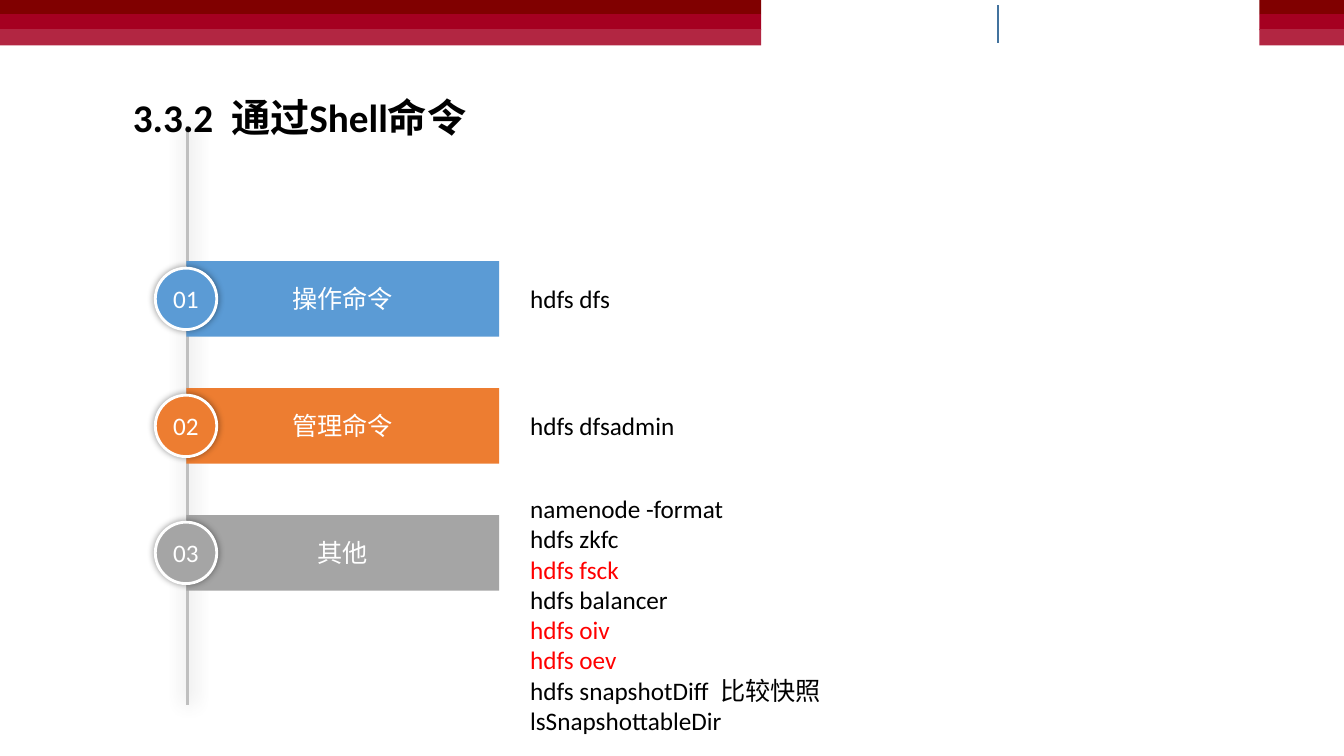
"""Build the slide that lists the HDFS shell commands in three groups."""
from lxml import etree
from pptx import Presentation
from pptx.dml.color import RGBColor
from pptx.enum.shapes import MSO_CONNECTOR, MSO_SHAPE
from pptx.enum.text import MSO_ANCHOR, PP_ALIGN
from pptx.oxml.ns import qn
from pptx.util import Inches, Pt

RECT, OVAL = MSO_SHAPE.RECTANGLE, MSO_SHAPE.OVAL
STRAIGHT = MSO_CONNECTOR.STRAIGHT
MIDDLE, CENTER = MSO_ANCHOR.MIDDLE, PP_ALIGN.CENTER
rgb = RGBColor.from_string


def add_shape(kind, left, top, width, height, fill, text="", font="Calibri"):
    sp = s.shapes.add_shape(kind, Inches(left), Inches(top), Inches(width), Inches(height))
    sp.shadow.inherit = False
    sp.fill.solid()
    sp.fill.fore_color.rgb = rgb(fill)
    sp.line.fill.background()
    tf = sp.text_frame
    tf.margin_left = tf.margin_right = tf.margin_top = tf.margin_bottom = 0
    tf.vertical_anchor = MIDDLE
    p = tf.paragraphs[0]
    p.text = text
    p.alignment = CENTER
    p.font.size, p.font.name = Pt(18), font
    p.font.color.rgb = rgb("FFFFFF")
    return sp


def add_shadow(effects, blur, dist):
    shadow = etree.SubElement(effects, qn("a:outerShdw"), blurRad=str(Pt(blur)),
                              dist=str(Pt(dist)), dir="0", algn="ctr", rotWithShape="0")
    color = etree.SubElement(shadow, qn("a:srgbClr"), val="000000")
    etree.SubElement(color, qn("a:alpha"), val="40000")


prs = Presentation()
prs.slide_width, prs.slide_height = Inches(13.33), Inches(7.5)
s = prs.slides.add_slide(prs.slide_layouts[6])

bands = [(0, 0.14, "800000"), (0.14, 0.16, "A50021"), (0.29, 0.16, "B22642")]
for left, width in [(0, 7.55), (12.49, 0.87)]:
    for top, height, color in bands:
        add_shape(RECT, left, top, width, height, color)

lines = [(9.9, 0.05, 0.43, "43739E", 1), (1.86, 1.25, 6.99, "BFBFBF", 2)]
for x, top, bottom, color, weight in lines:
    line = s.shapes.add_connector(STRAIGHT, Inches(x), Inches(top), Inches(x), Inches(bottom))
    line.line.color.rgb = rgb(color)
    line.line.width = Pt(weight)
    effects = etree.SubElement(line._element.spPr, qn("a:effectLst"))
add_shadow(effects, 14, 1)

title = s.shapes.add_textbox(Inches(1.22), Inches(0.88), Inches(6.93), Inches(0.57))
title.text_frame.word_wrap = True
p = title.text_frame.paragraphs[0]
p.text = "3.3.2  通过Shell命令"
p.font.size, p.font.name, p.font.bold = Pt(28), "Calibri", True
p.font.color.rgb = rgb("000000")

groups = [
    ("操作命令", "Arial", "5B9BD5", 2.59, 0.75, ["hdfs dfs"]),
    ("管理命令", "Arial", "ED7D31", 3.85, 0.75, ["hdfs dfsadmin"]),
    ("其他", "Calibri", "A5A5A5", 5, 2.19,
     ["namenode -format", "hdfs zkfc", "hdfs fsck", "hdfs balancer", "hdfs oiv",
      "hdfs oev", "hdfs snapshotDiff  比较快照", "lsSnapshottableDir"]),
]
highlighted = {"hdfs fsck", "hdfs oiv", "hdfs oev"}
for i, (label, font, color, text_top, text_height, commands) in enumerate(groups):
    top = 2.59 + 1.26 * i
    add_shape(RECT, 1.85, top, 3.1, 0.75, color, label, font)
    badge = add_shape(OVAL, 1.54, top + 0.07, 0.61, 0.61, color, f"{i + 1:02}")
    badge.line.color.rgb = rgb("FFFFFF")
    badge.line.width = Pt(2)
    add_shadow(badge._element.spPr.find(qn("a:effectLst")), 5, 0)

    box = s.shapes.add_textbox(Inches(5.16), Inches(text_top), Inches(4.34), Inches(text_height))
    tf = box.text_frame
    tf.word_wrap = True
    tf.vertical_anchor = MIDDLE
    tf.text = "\n".join(commands)
    for p in tf.paragraphs:
        p.font.size, p.font.name = Pt(18), "Calibri"
        p.font.color.rgb = rgb("FF0000" if p.text in highlighted else "000000")

prs.save("out.pptx")
